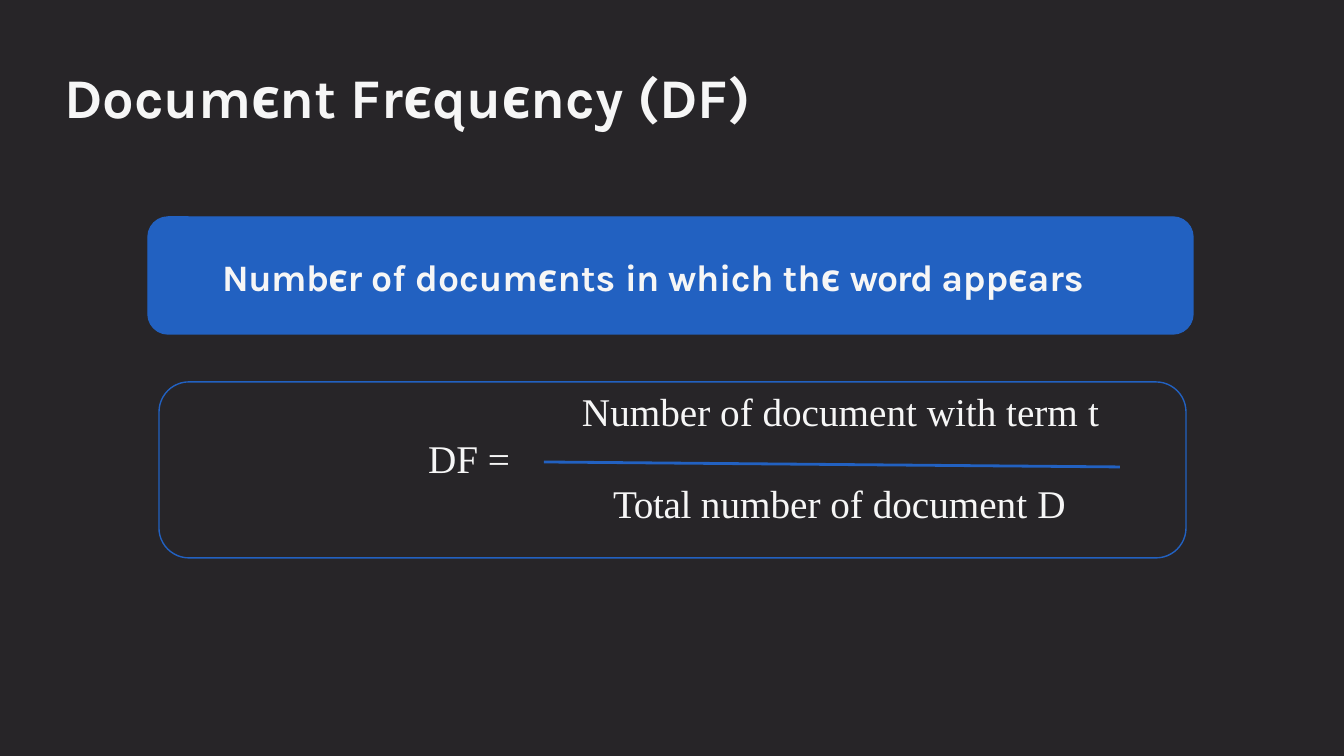
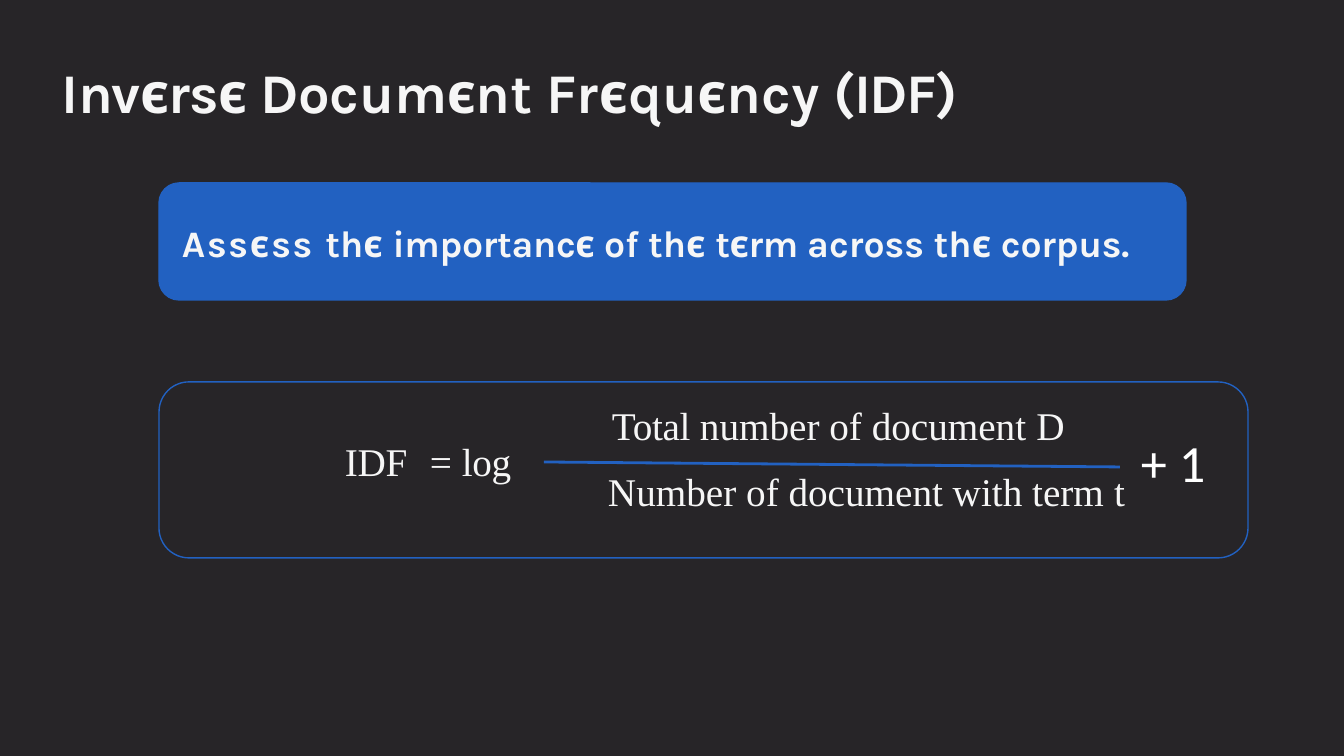
from collections import namedtuple

from lxml import etree
from pptx import Presentation
from pptx.dml.color import RGBColor
from pptx.enum import shapes
from pptx.oxml import ns
from pptx.util import Emu, Pt

WIDTH, HEIGHT = 1344, 756
SCALE = 9144000 / WIDTH
DARK = RGBColor(0x27, 0x25, 0x28)
BLUE = RGBColor(0x22, 0x61, 0xC1)
PALE = RGBColor(0xF6, 0xF6, 0xF6)
WHITE = RGBColor(0xFF, 0xFF, 0xFF)

Style = namedtuple("Style", "font size bold color")
TITLE = Style("Karla", 30, True, PALE)
BANNER = Style("Karla", 20, True, PALE)
FORMULA = Style("Times New Roman", 21, False, PALE)
ADDEND = Style("Calibri", 28, False, WHITE)

Box = namedtuple("Box", "left top width height")

TERM_COUNT = [("Number of document with term ", 0), ("t", -50)]
TOTAL_COUNT = [("Total ", -20), ("number of document ", 0), ("D", -50)]


def px(value):
    return Emu(round(value * SCALE))


def place(box):
    return [px(value) for value in box]


def write(page, box, spans, style, tab=None):
    frame = page.shapes.add_textbox(*place(box)).text_frame
    frame.word_wrap = True
    frame.margin_left = frame.margin_right = frame.margin_bottom = 0
    frame.margin_top = px(3)
    para = frame.paragraphs[0]
    if tab:
        stops = etree.SubElement(para._p.get_or_add_pPr(), ns.qn("a:tabLst"))
        etree.SubElement(stops, ns.qn("a:tab"), pos=str(px(tab)), algn="l")
    para.font.name = style.font
    para.font.size = Pt(style.size)
    para.font.bold = style.bold
    para.font.color.rgb = style.color
    for words, spacing in spans:
        span = para.add_run()
        span.text = words
        if spacing:
            span._r.get_or_add_rPr().set("spc", str(spacing))


def add_panel(page, box, radius, filled):
    panel = page.shapes.add_shape(
        shapes.MSO_SHAPE.ROUNDED_RECTANGLE, *place(box))
    panel.shadow.inherit = False
    panel.adjustments[0] = radius / box.height
    if filled:
        panel.fill.solid()
        panel.fill.fore_color.rgb = BLUE
    else:
        panel.fill.background()
    panel.line.color.rgb = BLUE
    panel.line.width = Pt(0.75)


def add_page(deck, box, title):
    page = deck.slides.add_slide(deck.slide_layouts[6])
    page.background.fill.solid()
    page.background.fill.fore_color.rgb = DARK
    write(page, box, title, TITLE)
    return page


def add_banner(page, box, indent, spans):
    add_panel(page, box, 20, True)
    text_box = Box(box.left + indent, box.top + 34, box.width - indent, 48)
    write(page, text_box, spans, BANNER)


def add_fraction_bar(page, box):
    left, top = box.left + 385, box.top + 80
    bar = page.shapes.add_connector(
        shapes.MSO_CONNECTOR.STRAIGHT, *place((left, top, left + 576, top + 5)))
    bar.line.color.rgb = BLUE
    bar.line.width = Pt(1.5)
    etree.SubElement(bar._element.spPr, ns.qn("a:effectLst"))


def add_formula(page, box, parts):
    add_panel(page, box, 30, False)
    add_fraction_bar(page, box)
    for left, top, width, spans, style, tab in parts:
        part_box = Box(box.left + left, box.top + top, width, 51)
        write(page, part_box, spans, style, tab)


def add_document_frequency(deck):
    page = add_page(deck, Box(65, 60, 754, 71), [
        ("Documєnt ", -20), ("Frєquєncy ", 0), ("(DF)", -20)])
    add_banner(page, Box(148, 217, 1045, 117), 74, [
        ("Numbєr ", -30), ("of ", -10), ("documєnts ", 0), ("in ", -50),
        ("which ", -20), ("thє ", 0), ("word ", -70), ("appєars", -10)])
    add_formula(page, Box(159, 382, 1027, 176), [
        (269, 49, 110, [("DF ", 0), ("=", -50)], FORMULA, None),
        (423, 2, 540, TERM_COUNT, FORMULA, None),
        (454, 94, 480, TOTAL_COUNT, FORMULA, None),
    ])


def add_inverse_frequency(deck):
    page = add_page(deck, Box(62, 55, 981, 71), [
        ("Invєrsє ", -50), ("Documєnt ", -20), ("Frєquєncy ", 0),
        ("(IDF)", -90)])
    add_banner(page, Box(159, 183, 1027, 117), 23, [
        ("Assєss ", 90), ("thє ", 0), ("importancє ", -20), ("of ", -10),
        ("thє ", 0), ("tєrm ", -30), ("across thє ", 0), ("corpus.", -10)])
    add_formula(page, Box(159, 382, 1089, 176), [
        (186, 52, 190, [("IDF", -20), ("\t= ", 0), ("log", -20)], FORMULA, 85),
        (453, 16, 480, TOTAL_COUNT, FORMULA, None),
        (449, 82, 540, TERM_COUNT, FORMULA, None),
        (982, 45, 100, [("+ 1", 0)], ADDEND, None),
    ])


def main():
    deck = Presentation()
    deck.slide_width, deck.slide_height = px(WIDTH), px(HEIGHT)
    add_document_frequency(deck)
    add_inverse_frequency(deck)
    deck.save("out.pptx")


if __name__ == "__main__":
    main()
